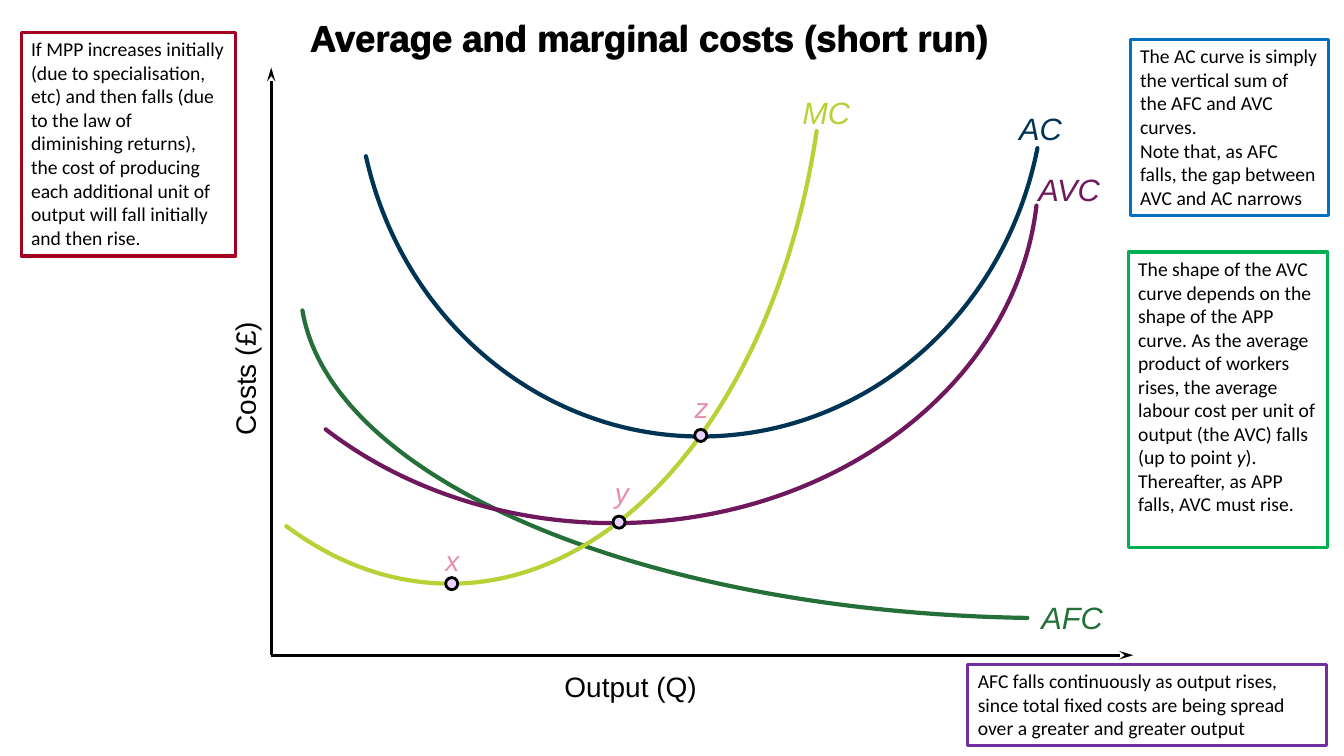
from copy import deepcopy

from lxml import etree
from pptx import Presentation
from pptx.dml.color import RGBColor
from pptx.enum.shapes import MSO_CONNECTOR, MSO_SHAPE
from pptx.enum.text import MSO_ANCHOR, MSO_AUTO_SIZE, PP_ALIGN
from pptx.oxml.ns import qn
from pptx.util import Inches, Pt

LINE, OVAL, RECT = MSO_CONNECTOR.STRAIGHT, MSO_SHAPE.OVAL, MSO_SHAPE.RECTANGLE
TOP, MIDDLE, LEFT = MSO_ANCHOR.TOP, MSO_ANCHOR.MIDDLE, PP_ALIGN.LEFT
NONE, GROW = MSO_AUTO_SIZE.NONE, MSO_AUTO_SIZE.SHAPE_TO_FIT_TEXT

BLACK = RGBColor(0x00, 0x00, 0x00)
FOREST = RGBColor(0x25, 0x70, 0x39)
PLUM = RGBColor(0x6F, 0x18, 0x5E)
LIME = RGBColor(0xB8, 0xD1, 0x37)
NAVY = RGBColor(0x00, 0x34, 0x54)
PINK = RGBColor(0xE8, 0x8E, 0xAD)
LILAC = RGBColor(0xE9, 0xD3, 0xFF)
RED = RGBColor(0xA5, 0x00, 0x21)
VIOLET = RGBColor(0x70, 0x30, 0xA0)
GREEN = RGBColor(0x00, 0xB0, 0x50)
BLUE = RGBColor(0x00, 0x70, 0xC0)

HEAD = {"name": "Arial", "size": Pt(26), "bold": True}
AXIS = {"name": "Arial", "size": Pt(20)}
CURVE = {"name": "Arial", "size": Pt(22), "italic": True}
POINT = {"name": "Arial", "size": Pt(20), "italic": True}
NOTE = {"name": "Calibri", "size": Pt(14)}

CURVES = [
    ("AFC", FOREST, (10.23, 5.89, 0.82), (10.47, 2.84),
     [(10.19, 6.13), (6.38, 6.07), (3.28, 4.76), (3, 3.08)]),
    ("AVC", PLUM, (10.2, 1.64, 0.81), (6.09, 1.71),
     [(10.28, 2.04), (10.07, 3.83), (8.26, 5.19), (6.09, 5.19),
      (5.03, 5.19), (4.01, 4.86), (3.23, 4.26)]),
    ("MC", LIME, (7.86, 0.88, 0.68), (4.47, 0),
     [(8.1, 1.3), (7.71, 3.93), (6.2, 5.79), (4.47, 5.79),
      (3.9, 5.79), (3.35, 5.6), (2.84, 5.22)]),
    ("AC", NAVY, (10.01, 1.04, 0.63), (6.95, 0.74),
     [(10.29, 1.47), (9.96, 3.14), (8.57, 4.33), (6.95, 4.33),
      (5.37, 4.33), (3.99, 3.18), (3.63, 1.55)]),
]
POINTS = [("x", 4.48, 5.79, 4.32, 5.34),
          ("y", 6.14, 5.18, 6, 4.67),
          ("z", 6.95, 4.32, 6.79, 3.82)]
NOTES = [
    (RED, (0.21, 0.32, 2.13, 2.22), [[
        "If MPP increases initially (due to specialisation, etc) and then "
        "falls (due to the law of diminishing returns), the cost of producing "
        "each additional unit of output will fall initially and then rise."]]),
    (VIOLET, (9.6, 6.59, 3.56, 0.81), [[
        "AFC falls continuously as output rises, since total fixed costs are "
        "being spread over a greater and greater output"]]),
    (GREEN, (11.19, 2.5, 1.98, 2.93), [[
        "The shape of the AVC curve depends on the shape of the APP curve. As "
        "the average product of workers rises, the average labour cost per "
        "unit of output (the AVC) falls (up to point ", "y",
        "). Thereafter, as APP falls, AVC must rise."]]),
    (BLUE, (11.21, 0.39, 1.97, 1.75), [
        ["The AC curve is simply the vertical sum of the AFC and AVC curves."],
        ["Note that, as AFC falls, the gap between AVC and AC narrows"]]),
]


class Board:
    """Holds the slide and draws each kind of element on it."""

    def __init__(self, slide):
        self.slide = slide
        self.shapes = slide.shapes

    def style(self, font, look, color):
        for key, value in look.items():
            setattr(font, key, value)
        font.color.rgb = color

    def stroke(self, shape, color, width, fill=None):
        shape.shadow.inherit = False
        shape.line.color.rgb = color
        shape.line.width = Pt(width)
        if fill is None:
            shape.fill.background()
        else:
            shape.fill.solid()
            shape.fill.fore_color.rgb = fill

    def title(self, text, box):
        shape = self.shapes.title
        shape.left, shape.top, shape.width, shape.height = map(Inches, box)
        frame = shape.text_frame
        frame.auto_size, frame.vertical_anchor = NONE, MIDDLE
        para = frame.paragraphs[0]
        para.alignment, para.line_spacing = LEFT, 0.9
        run = para.add_run()
        run.text = text
        self.style(run.font, HEAD, BLACK)
        glow = etree.SubElement(shape._element.spPr, qn("a:effectLst"))
        shade = etree.SubElement(glow, qn("a:outerShdw"), dist="12700", dir="8100000")
        etree.SubElement(shade, qn("a:srgbClr"), val=str(BLACK))

    def axis(self, start, end, tip):
        line = self.shapes.add_connector(LINE, *map(Inches, start + end))
        line.line.color.rgb = BLACK
        line.line.width = Pt(2)
        etree.SubElement(line.line._get_or_add_ln(), qn(tip), type="stealth", len="lg")
        etree.SubElement(line._element.spPr, qn("a:effectLst"))

    def curve(self, color, ends, hub):
        dots = [(Inches(x), Inches(y)) for x, y in ends + [hub]]
        draft = self.shapes.build_freeform(*dots[0])
        draft.add_line_segments(dots[1:], close=True)
        shape = draft.convert_to_shape()
        self.stroke(shape, color, 3)
        shape.line._get_or_add_ln().set("cap", "rnd")
        area = next(shape._element.iter(qn("a:path")))
        legs = area.findall(qn("a:lnTo"))[:-1]
        for i in range(0, len(legs), 3):
            bend = etree.Element(qn("a:cubicBezTo"))
            legs[i].addprevious(bend)
            for leg in legs[i:i + 3]:
                bend.append(leg[0])
                area.remove(leg)
        arc = deepcopy(area)
        for part in arc[-2:]:
            arc.remove(part)
        arc.set("fill", "none")
        area.set("stroke", "0")
        area.addprevious(arc)

    def label(self, text, box, look, color, turn=0):
        shape = self.shapes.add_textbox(*map(Inches, box))
        shape.rotation = turn
        frame = shape.text_frame
        frame.word_wrap, frame.auto_size = False, GROW
        run = frame.paragraphs[0].add_run()
        run.text = text
        self.style(run.font, look, color)

    def dot(self, x, y, size=0.12):
        box = (x - size / 2, y - size / 2, size, size)
        self.stroke(self.shapes.add_shape(OVAL, *map(Inches, box)), BLACK, 2, LILAC)

    def note(self, color, box, paras):
        shape = self.shapes.add_shape(RECT, *map(Inches, box))
        self.stroke(shape, color, 2.25)
        frame = shape.text_frame
        frame.word_wrap, frame.vertical_anchor = True, TOP
        frame.auto_size = GROW
        for i, texts in enumerate(paras):
            para = frame.add_paragraph() if i else frame.paragraphs[0]
            para.alignment = LEFT
            for text in texts:
                run = para.add_run()
                run.text = text
                self.style(run.font, {**NOTE, "italic": text == "y"}, BLACK)


def main():
    """Build and save the slide."""
    deck = Presentation()
    deck.slide_width, deck.slide_height = Inches(13.33), Inches(7.5)
    board = Board(deck.slides.add_slide(deck.slide_layouts[5]))
    board.title("Average and marginal costs (short run)", (2.98, 0.09, 8.69, 0.6))
    board.axis((2.69, 0.67), (2.69, 6.5), "a:headEnd")
    board.axis((2.69, 6.5), (11.24, 6.5), "a:tailEnd")
    board.label("Output (Q)", (5.5, 6.59, 1.52, 0.44), AXIS, BLACK)
    board.label("Costs (£)", (1.76, 3.53, 1.34, 0.44), AXIS, BLACK, 270)
    for name, color, spot, hub, ends in CURVES:
        board.curve(color, ends, hub)
        board.label(name, spot + (0.47,), CURVE, color)
    for name, x, y, left, top in POINTS:
        board.dot(x, y)
        board.label(name, (left, top, 0.34, 0.44), POINT, PINK)
    for color, box, paras in NOTES:
        board.note(color, box, paras)
    deck.save("out.pptx")


if __name__ == "__main__":
    main()
